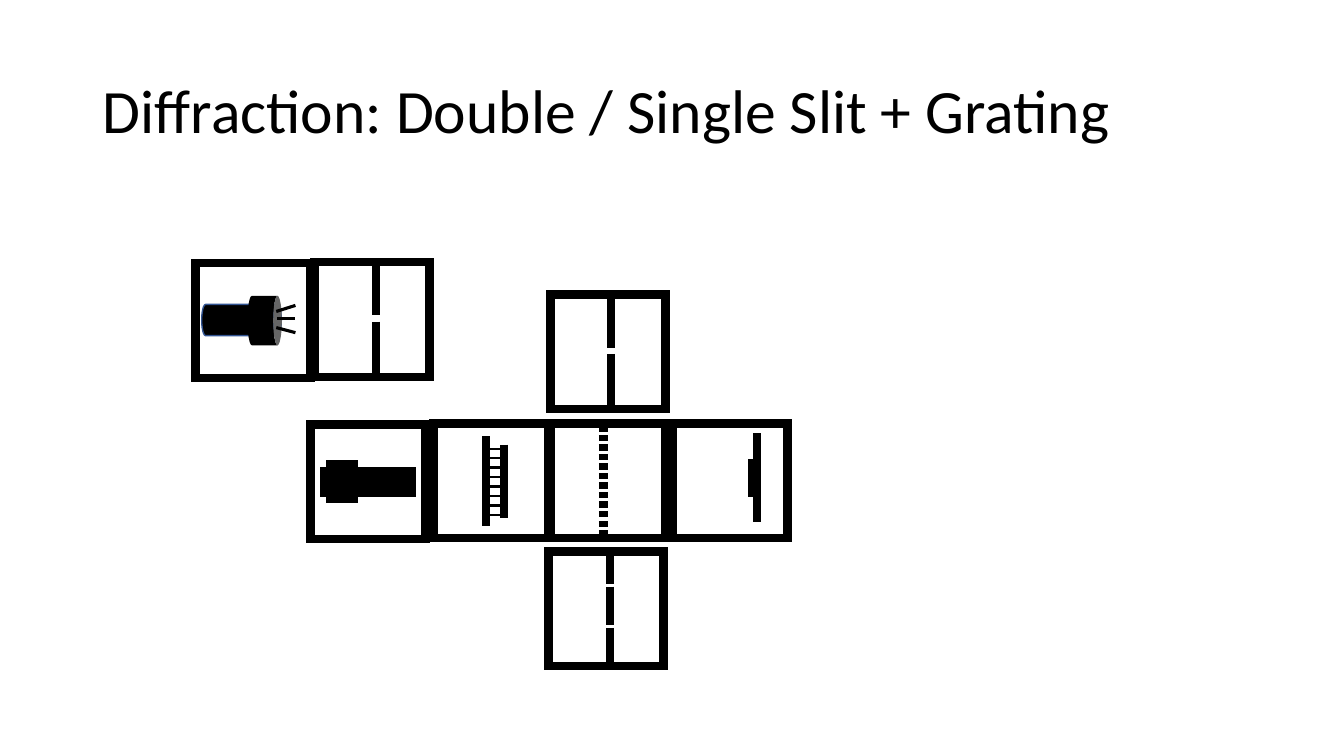
from dataclasses import dataclass

from lxml import etree
from pptx import Presentation
from pptx.dml.color import RGBColor
from pptx.enum.shapes import MSO_CONNECTOR, MSO_SHAPE
from pptx.enum.text import MSO_ANCHOR, PP_ALIGN
from pptx.oxml.ns import qn
from pptx.util import Inches, Pt


@dataclass(frozen=True)
class Theme:
    ink: RGBColor = RGBColor(0, 0, 0)
    lamp_edge: RGBColor = RGBColor(0x32, 0x54, 0x91)
    font: str = "Calibri"
    title_size: Pt = Pt(44)
    heavy: Pt = Pt(6)
    grating: Pt = Pt(4.5)
    ray: Pt = Pt(2.25)
    rung: Pt = Pt(1.5)
    thin: Pt = Pt(1)


theme = Theme()
TILE = 1.14


def add_line(group, x1, y1, x2, y2, width=theme.heavy):
    line = group.shapes.add_connector(
        MSO_CONNECTOR.STRAIGHT, Inches(x1), Inches(y1), Inches(x2), Inches(y2))
    line.line.color.rgb = theme.ink
    line.line.width = width
    etree.SubElement(line._element.spPr, qn("a:effectLst"))


def add_block(group, kind, left, top, width, height, fill=theme.ink,
              edge=theme.ink, edge_width=theme.thin):
    """Add a preset shape with sharp corners; None as fill or edge leaves it out."""
    shape = group.shapes.add_shape(
        kind, Inches(left), Inches(top), Inches(width), Inches(height))
    shape.shadow.inherit = False
    if fill is None:
        shape.fill.background()
    else:
        shape.fill.solid()
        shape.fill.fore_color.rgb = fill
    if edge is None:
        shape.line.fill.background()
    else:
        shape.line.color.rgb = edge
        shape.line.width = edge_width
        outline = shape._element.spPr.find(qn("a:ln"))
        etree.SubElement(outline, qn("a:miter"), lim="800000")
    return shape


presentation = Presentation()
presentation.slide_width = Inches(13.33)
presentation.slide_height = Inches(7.5)
slide = presentation.slides.add_slide(presentation.slide_layouts[5])

# Title
title = slide.shapes.title
title.left, title.top = Inches(0.92), Inches(0.4)
title.width, title.height = Inches(11.5), Inches(1.45)
title.text_frame.text = "Diffraction: Double / Single Slit + Grating"
title.text_frame.vertical_anchor = MSO_ANCHOR.MIDDLE
paragraph = title.text_frame.paragraphs[0]
paragraph.alignment = PP_ALIGN.LEFT
paragraph.line_spacing = 0.9
paragraph.font.name = theme.font
paragraph.font.size = theme.title_size
paragraph.font.color.rgb = theme.ink

# One framed group per optical component
tile_origins = {
    "screen": (6.67, 4.2),
    "laser": (3.08, 4.21),
    "slide holder": (4.3, 4.2),
    "upper single slit": (5.46, 2.92),
    "double slit": (5.44, 5.47),
    "grating": (5.46, 4.2),
    "left single slit": (3.12, 2.6),
    "lamp": (1.94, 2.61),
}
tiles = {}
for name, (left, top) in tile_origins.items():
    tiles[name] = slide.shapes.add_group_shape()
    add_block(tiles[name], MSO_SHAPE.RECTANGLE, left, top, TILE, TILE,
              fill=None, edge_width=theme.heavy)

# Screen
add_line(tiles["screen"], 7.51, 4.3, 7.51, 5.18)
add_line(tiles["screen"], 7.46, 4.55, 7.46, 4.93)

# Laser
add_block(tiles["laser"], MSO_SHAPE.RECTANGLE, 3.24, 4.57, 0.3, 0.41)
add_block(tiles["laser"], MSO_SHAPE.RECTANGLE, 3.18, 4.64, 0.94, 0.28)

# Slide holder: two rails joined by evenly spaced rungs
add_line(tiles["slide holder"], 4.82, 4.33, 4.82, 5.22)
add_line(tiles["slide holder"], 5, 4.41, 5, 5.14)
for index in range(8):
    y = 4.45 + index * 0.66 / 7
    add_line(tiles["slide holder"], 4.84, y, 5, y, theme.rung)

# Slits: wall position, then wall segments as offsets from the top of the tile
single_slit = [(-0.02, 0.53), (0.59, 1.14)]
double_slit = [(-0.03, 0.32), (0.35, 0.73), (0.76, 1.14)]
for name, wall_x, segments in (("upper single slit", 6.06, single_slit),
                               ("left single slit", 3.73, single_slit),
                               ("double slit", 6.05, double_slit)):
    top = tile_origins[name][1]
    for start, end in segments:
        add_line(tiles[name], wall_x, top + start, wall_x, top + end)

# Grating
for index in range(12):
    y = 4.25 + index * 1.04 / 11
    add_line(tiles["grating"], 5.94, y, 6.03, y, theme.grating)

# Lamp
barrel = add_block(tiles["lamp"], MSO_SHAPE.CAN, 2.24, 2.78, 0.31, 0.79,
                   edge=theme.lamp_edge)
head = add_block(tiles["lamp"], MSO_SHAPE.CAN, 2.38, 3.01, 0.49, 0.34, edge=None)
barrel.rotation = head.rotation = 90
for start_x, start_y, end_y in ((2.75, 3.16, 3.16), (2.74, 3.25, 3.3),
                                (2.74, 3.09, 3.03)):
    add_line(tiles["lamp"], start_x, start_y, 2.93, end_y, theme.ray)

presentation.save("out.pptx")
